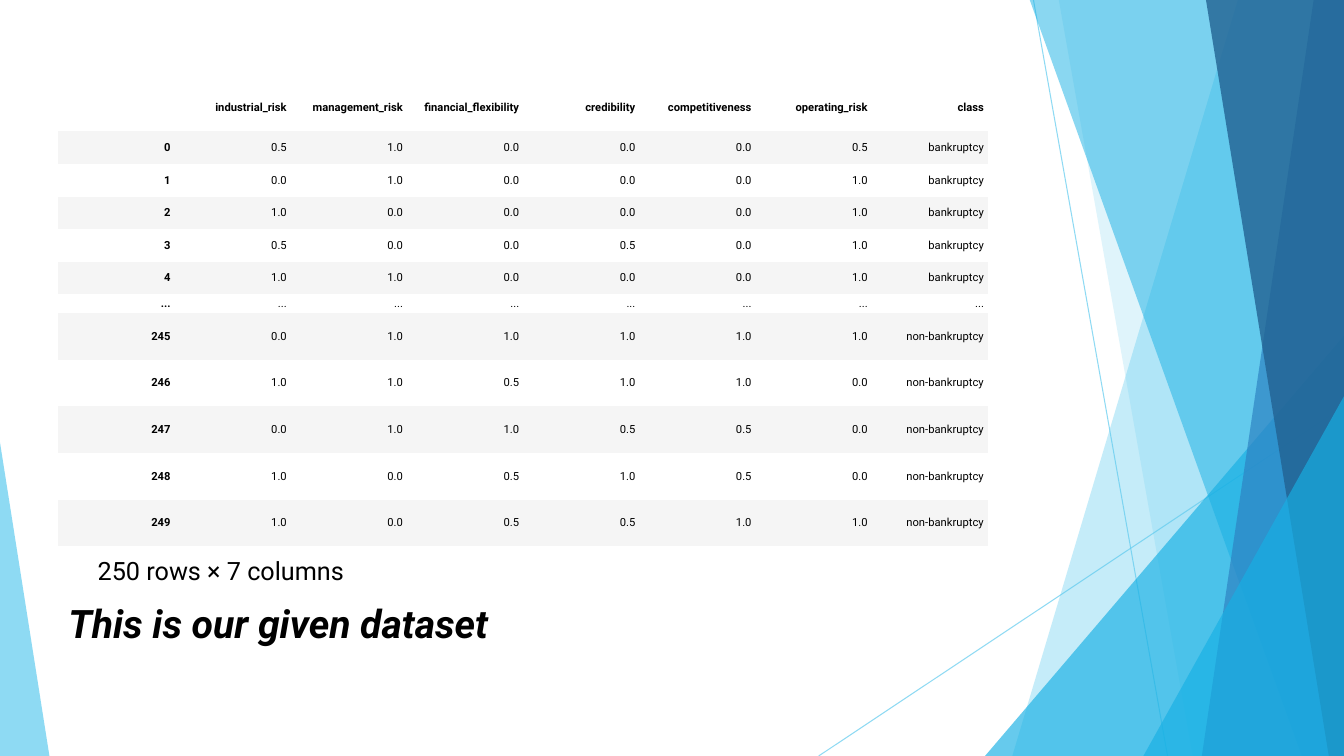
from dataclasses import dataclass
from lxml.etree import SubElement
from pptx import Presentation
from pptx.dml.color import RGBColor
from pptx.enum.shapes import MSO_CONNECTOR, MSO_SHAPE
from pptx.enum.text import MSO_ANCHOR, PP_ALIGN
from pptx.oxml.ns import qn
from pptx.util import Inches, Pt


@dataclass
class Theme:
    font: str = "Roboto"
    ink: str = "000000"
    white: str = "FFFFFF"
    band: str = "F5F5F5"
    sky: str = "5FCBEF"
    cyan: str = "17B0E4"
    blue: str = "2E83C3"
    navy: str = "226292"
    cell: int = 8
    note: int = 18
    head: int = 28


theme = Theme()


def write(frame, text, size, bold=False, italic=False, align=PP_ALIGN.LEFT):
    para = frame.paragraphs[0]
    para.alignment = align
    run = para.add_run()
    run.text = text
    font = run.font
    font.name, font.size = theme.font, Pt(size)
    font.bold, font.italic = bold, italic
    font.color.rgb = RGBColor.from_string(theme.ink)


def tint(fill, color, alpha):
    fill.solid()
    fill.fore_color.rgb = RGBColor.from_string(color)
    for node in fill._xPr.iter(qn("a:srgbClr")):
        SubElement(node, qn("a:alpha")).set("val", str(alpha * 1000))


deck = Presentation()
deck.slide_width, deck.slide_height = Inches(13.33), Inches(7.5)
slide = deck.slides.add_slide(deck.slide_layouts[6])
shapes = slide.shapes

# Thin crossing lines
for ends in [(10.25, 0, 11.58, 7.5), (13.33, 4.03, 8.12, 7.5)]:
    line = shapes.add_connector(MSO_CONNECTOR.STRAIGHT, *map(Inches, ends))
    line.line.width = Pt(0.75)
    tint(line.line.fill, theme.sky, 70)
    SubElement(line._element.spPr, qn("a:effectLst"))

# Facets, back to front: a panel is top left x and bottom left x,
# a triangle is left, top, width, height and apex position
facets = [
    ((12.28, 10.04), theme.sky, 36),
    ((10.5, 11.83), theme.sky, 20),
    ((9.77, 3.33, 3.56, 4.17, 1), theme.cyan, 66),
    ((10.21, 12.91), theme.cyan, 50),
    ((13.03, 11.92), theme.blue, 70),
    ((11.96, 13.18), theme.navy, 80),
    ((11.34, 3.93, 1.99, 3.57, 1), theme.cyan, 66),
    ((0, 4.39, 0.49, 3.11, 0), theme.sky, 70),
]
for form, color, alpha in facets:
    if len(form) == 2:
        top, foot = form
        path = shapes.build_freeform(Inches(top), Inches(-0.01))
        corners = [(13.33, -0.01), (13.33, 7.5), (foot, 7.5)]
        path.add_line_segments([(Inches(x), Inches(y)) for x, y in corners])
        facet = path.convert_to_shape()
    else:
        *box, apex = form
        facet = shapes.add_shape(MSO_SHAPE.ISOSCELES_TRIANGLE, *map(Inches, box))
        facet.adjustments[0] = apex
    facet.shadow.inherit = False
    facet.line.fill.background()
    tint(facet.fill, color, alpha)

# Dataset table
bad, good = "bankruptcy", "non-bankruptcy"
data = [
    ["", "industrial_risk", "management_risk", "financial_flexibility",
     "credibility", "competitiveness", "operating_risk", "class"],
    ["0", "0.5", "1.0", "0.0", "0.0", "0.0", "0.5", bad],
    ["1", "0.0", "1.0", "0.0", "0.0", "0.0", "1.0", bad],
    ["2", "1.0", "0.0", "0.0", "0.0", "0.0", "1.0", bad],
    ["3", "0.5", "0.0", "0.0", "0.5", "0.0", "1.0", bad],
    ["4", "1.0", "1.0", "0.0", "0.0", "0.0", "1.0", bad],
    ["..."] * 8,
    ["245", "0.0", "1.0", "1.0", "1.0", "1.0", "1.0", good],
    ["246", "1.0", "1.0", "0.5", "1.0", "1.0", "0.0", good],
    ["247", "0.0", "1.0", "1.0", "0.5", "0.5", "0.0", good],
    ["248", "1.0", "0.0", "0.5", "1.0", "0.5", "0.0", good],
    ["249", "1.0", "0.0", "0.5", "0.5", "1.0", "1.0", good],
]
parts = [1] + [0.7] * 5 + [0.4] + [1] * 5
high = 4.58
table = shapes.add_table(len(data), len(data[0]), Inches(0.58), Inches(0.84),
                         Inches(9.22), Inches(high)).table
table.first_row = table.horz_banding = False
# Plain table style without grid lines
table._tbl.tblPr.find(qn("a:tableStyleId")).text = "{2D5ABB26-0587-4C30-8999-92F81FD0307C}"
for r, row in enumerate(data):
    table.rows[r].height = Inches(high * parts[r] / sum(parts))
    for c, text in enumerate(row):
        cell = table.cell(r, c)
        cell.fill.solid()
        cell.fill.fore_color.rgb = RGBColor.from_string(theme.band if r % 2 else theme.white)
        cell.vertical_anchor = MSO_ANCHOR.MIDDLE
        cell.margin_left = cell.margin_right = Inches(0.04)
        cell.margin_top = cell.margin_bottom = Inches(0.02)
        if text:
            write(cell.text_frame, text, theme.cell, bold=r == 0 or c == 0,
                  align=PP_ALIGN.RIGHT)

# Captions
captions = [
    ((0.87, 5.46, 6.68, 1.01), "250 rows × 7 columns", theme.note, False),
    ((0.58, 5.9, 6.68, 0.57), "This is our given dataset", theme.head, True),
]
for box, text, size, strong in captions:
    frame = shapes.add_textbox(*map(Inches, box)).text_frame
    frame.word_wrap = True
    write(frame, text, size, bold=strong, italic=strong)

deck.save("out.pptx")
